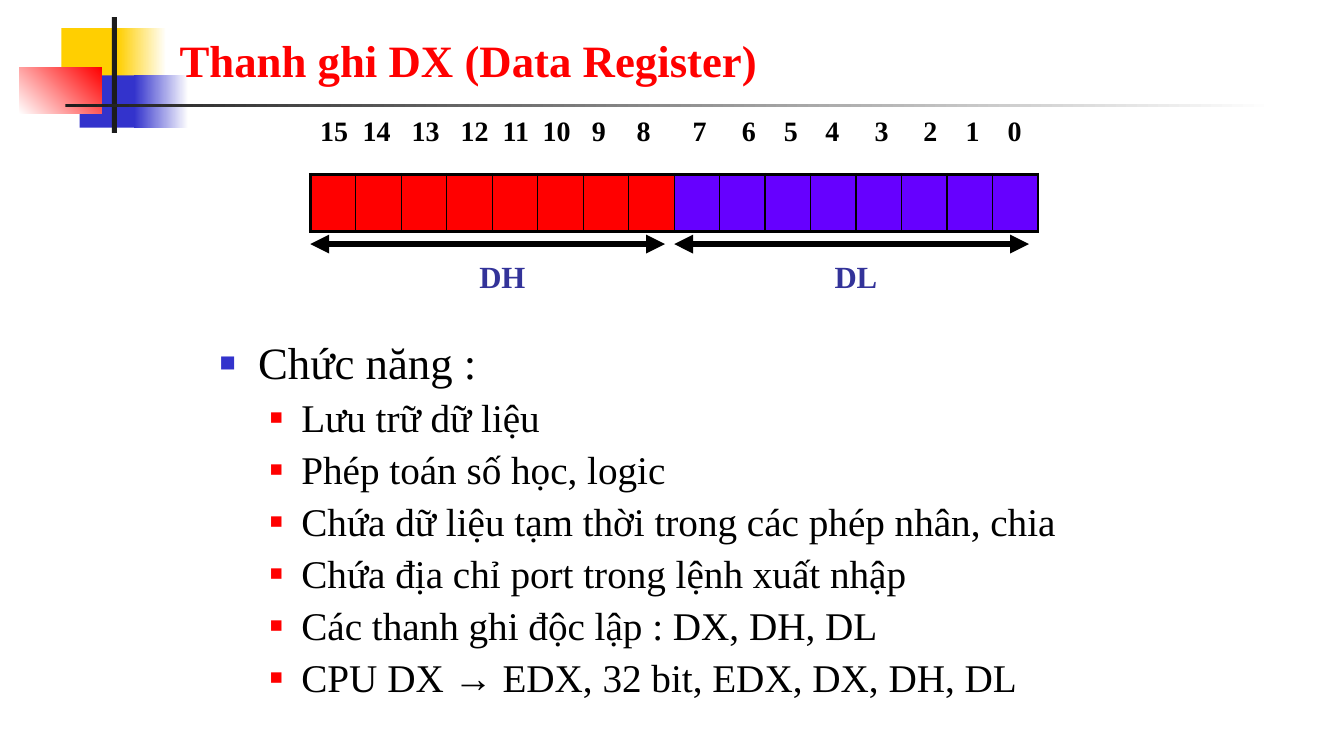
"""Build the slide on the DX data register."""
from lxml import etree
from pptx import Presentation
from pptx.dml.color import RGBColor
from pptx.enum.shapes import MSO_CONNECTOR, MSO_SHAPE
from pptx.enum.text import MSO_ANCHOR, MSO_AUTO_SIZE, PP_ALIGN
from pptx.oxml.ns import qn
from pptx.util import Cm, Pt

LINE = MSO_CONNECTOR.STRAIGHT
RECT = MSO_SHAPE.RECTANGLE
BOTTOM, TOP = MSO_ANCHOR.BOTTOM, MSO_ANCHOR.TOP
FIXED = MSO_AUTO_SIZE.NONE
LEFT, CENTER = PP_ALIGN.LEFT, PP_ALIGN.CENTER

BLACK = RGBColor(0, 0, 0)
WHITE = RGBColor(255, 255, 255)
RED = RGBColor(255, 0, 0)
GOLD = RGBColor(0xFF, 0xCF, 0x01)
BLUE = RGBColor(0x33, 0x33, 0xCC)
NAVY = RGBColor(0x33, 0x33, 0x99)
VIOLET = RGBColor(0x66, 0x00, 0xFF)
INK = RGBColor(0x1C, 0x1C, 0x1C)

BITS = 16
HALF = BITS // 2
REG_X, REG_W = 7.82, 18.34
STOPS = [1.42, 2.66, 3.89, 4.93, 5.96, 7.02, 8.15, 9.56,
         10.8, 11.86, 12.91, 14.15, 15.38, 16.44, 17.5]
DECOR = [
    ((1.55, 0.71, 1.63, 1.32), GOLD, None, 0),
    ((2.97, 0.71, 1.22, 1.32), GOLD, WHITE, 0),
    ((2.01, 1.9, 1.57, 1.32), BLUE, None, 0),
    ((3.38, 1.9, 1.37, 1.32), BLUE, WHITE, 0),
    ((0.48, 1.7, 2.08, 1.17), WHITE, RED, 45),
    ((2.82, 0.43, 0.13, 2.92), INK, None, 0),
    ((1.65, 2.62, 30.48, 0.08), INK, WHITE, 0),
]
HALVES = [("DH", REG_X, 9.91), ("DL", 16.99, 18.82)]
USES = [
    "Lưu trữ dữ liệu",
    "Phép toán số học, logic",
    "Chứa dữ liệu tạm thời trong các phép nhân, chia",
    "Chứa địa chỉ port trong lệnh xuất nhập",
    "Các thanh ghi độc lập : DX, DH, DL",
    "CPU DX → EDX, 32 bit, EDX, DX, DH, DL",
]


def add(node, tag, **attrs):
    """Append a drawing element and return it."""
    return etree.SubElement(node, qn(tag), attrs)


class Page:
    """Hold the type style and the current slide."""

    face = "Times New Roman"

    def __init__(self, deck):
        """Open a slide with a title and a body."""
        self.slide = deck.slides.add_slide(deck.slide_layouts[1])
        self.shapes = self.slide.shapes

    def style(self, para, size, color, bold=False):
        """Set the font of a paragraph."""
        font = para.font
        font.name, font.size, font.bold = self.face, Pt(size), bold
        font.color.rgb = color

    def block(self, area, first, last, angle):
        """Draw a plain or fading rectangle."""
        box = self.shapes.add_shape(RECT, *map(Cm, area))
        box.shadow.inherit = False
        box.line.fill.background()
        if last is None:
            box.fill.solid()
            box.fill.fore_color.rgb = first
            return
        box.fill.gradient()
        box.fill.gradient_angle = angle
        for stop, color, place in zip(box.fill.gradient_stops, (first, last), (0, 1)):
            stop.color.rgb = color
            stop.position = place

    def holder(self, index, area, anchor):
        """Place a placeholder on top and return its text frame."""
        box = self.slide.placeholders[index]
        box.left, box.top, box.width, box.height = map(Cm, area)
        self.shapes.element.append(box.element)
        frame = box.text_frame
        frame.word_wrap, frame.auto_size = True, FIXED
        frame.vertical_anchor = anchor
        return frame

    def title(self, text, area):
        """Write the slide title."""
        para = self.holder(0, area, BOTTOM).paragraphs[0]
        para.text, para.alignment = text, LEFT
        self.style(para, 32, RED, True)

    def list(self, head, items, area):
        """Write a heading with its bulleted items."""
        frame = self.holder(1, area, TOP)
        for row, text in enumerate([head] + items):
            para = frame.add_paragraph() if row else frame.paragraphs[0]
            para.text = text
            if row:
                para.level = 1
                look = 28, 6.9, RED, 55, 2.06, 0.79
            else:
                look = 32, 0, BLUE, 60, 0.97, 0.97
            size, gap, color, scale, margin, hang = look
            para.line_spacing, para.space_before = 0.9, Pt(gap)
            props = para._p.get_or_add_pPr()
            props.set("marL", str(Cm(margin)))
            props.set("indent", str(-Cm(hang)))
            add(add(props, "a:buClr"), "a:srgbClr", val=str(color))
            add(props, "a:buSzPct", val=str(scale * 1000))
            add(props, "a:buFont", typeface=self.face)
            add(props, "a:buChar", char="■")
            self.style(para, size, BLACK)

    def text(self, text, area, size, color, align=LEFT, stops=()):
        """Write a bold label, with centred tab stops if given."""
        frame = self.shapes.add_textbox(*map(Cm, area)).text_frame
        frame.word_wrap = True
        para = frame.paragraphs[0]
        para.text, para.alignment = text, align
        if stops:
            tabs = add(para._p.get_or_add_pPr(), "a:tabLst")
            for stop in stops:
                add(tabs, "a:tab", pos=str(Cm(stop)), algn="ctr")
        self.style(para, size, color, True)

    def border(self, cell, widths):
        """Draw the left, right, top and bottom edges of a cell."""
        props = cell._tc.get_or_add_tcPr()
        for spot, (side, width) in enumerate(zip("LRTB", widths)):
            edge = add(props, "a:ln" + side, w=str(Pt(width)))
            add(add(edge, "a:solidFill"), "a:srgbClr", val=str(BLACK))
            props.insert(spot, edge)

    def table(self, area):
        """Draw the register as one row of bit cells."""
        grid = self.shapes.add_table(1, BITS, *map(Cm, area)).table
        grid.first_row = grid.horz_banding = False
        for col in range(BITS):
            grid.columns[col].width = Cm(area[2] / BITS)
            cell = grid.cell(0, col)
            cell.fill.solid()
            cell.fill.fore_color.rgb = RED if col < HALF else VIOLET
            left = 2.25 if col == 0 else 1
            right = 2.25 if col == BITS - 1 else 1
            self.border(cell, (left, right, 2.25, 2.25))

    def arrow(self, left, top, width):
        """Draw a level arrow with two heads."""
        ends = map(Cm, (left, top, left + width, top))
        bar = self.shapes.add_connector(LINE, *ends)
        bar.line.width = Pt(4.5)
        bar.line.color.rgb = BLACK
        edge = bar.line._get_or_add_ln()
        for tag in ("a:headEnd", "a:tailEnd"):
            add(edge, tag, type="triangle")
        add(bar.element.spPr, "a:effectLst")


def main():
    """Build and save the slide."""
    deck = Presentation()
    deck.slide_width, deck.slide_height = Cm(33.87), Cm(19.05)
    page = Page(deck)
    for part in DECOR:
        page.block(*part)
    page.title("Thanh ghi DX (Data Register)", (4.27, 0.58, 28.85, 1.73))
    page.list("Chức năng :", USES, (5.28, 8.46, 24.33, 9.96))
    page.table((REG_X, 4.39, REG_W, 1.45))
    bits = "\t".join(str(bit) for bit in reversed(range(BITS)))
    page.text(bits, (REG_X, 2.74, 19.02, 1.09), 20, BLACK, stops=STOPS)
    for name, start, left in HALVES:
        page.arrow(start, 6.15, 8.94)
        page.text(name, (left, 6.38, 5.5, 1.19), 22, NAVY, CENTER)
    deck.save("out.pptx")


if __name__ == "__main__":
    main()
